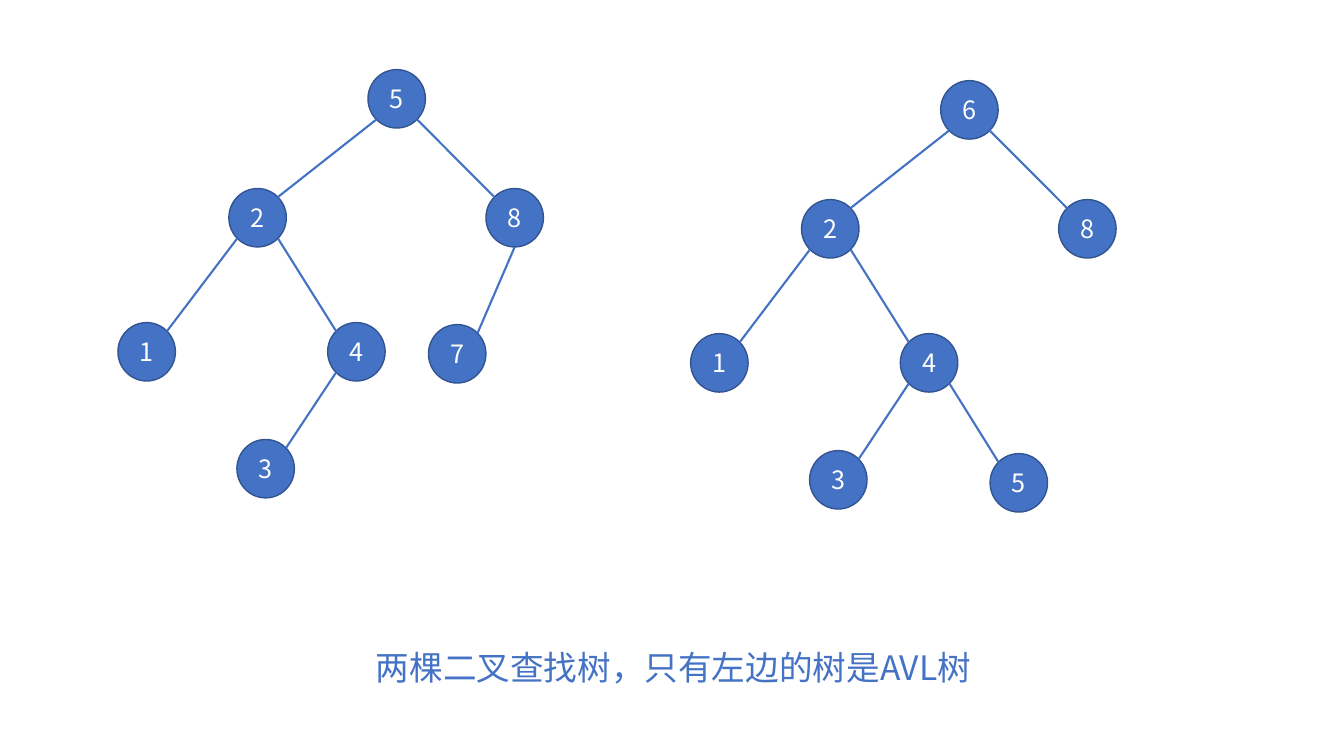
from dataclasses import dataclass
from math import sqrt

from lxml.etree import SubElement
from pptx import Presentation
from pptx.dml.color import RGBColor
from pptx.enum.shapes import MSO_CONNECTOR, MSO_SHAPE
from pptx.enum.text import MSO_ANCHOR, MSO_AUTO_SIZE, PP_ALIGN
from pptx.oxml.ns import qn
from pptx.util import Inches, Pt


@dataclass(frozen=True)
class Theme:
    font: str = "Noto Sans CJK SC"
    blue: RGBColor = RGBColor(0x44, 0x72, 0xC4)
    outline: RGBColor = RGBColor(0x32, 0x54, 0x91)
    white: RGBColor = RGBColor(0xFF, 0xFF, 0xFF)
    key_size: int = 18
    caption_size: int = 24


theme = Theme()
NODE_WIDTH, NODE_HEIGHT = 0.57, 0.58
DIAGONAL = sqrt(0.5)

# Node slots shared by both trees: left and top in inches
SLOTS = {
    "root": (3.65, 0.69),
    "left": (2.27, 1.87),
    "right": (4.82, 1.87),
    "left.left": (1.17, 3.2),
    "left.right": (3.25, 3.2),
    "right.left": (4.25, 3.22),
    "left.right.left": (2.35, 4.36),
    "left.right.right": (4.14, 4.39),
}

# Each tree: horizontal shift, vertical shift, keys by slot
TREES = [
    (0, 0, {"root": "5", "left": "2", "right": "8", "left.left": "1",
            "left.right": "4", "right.left": "7", "left.right.left": "3"}),
    (5.68, 0.11, {"root": "6", "left": "2", "right": "8", "left.left": "1",
                  "left.right": "4", "left.right.left": "3",
                  "left.right.right": "5"}),
]


def write_centred(shape, text, size, color):
    shape.text_frame.text = text
    paragraph = shape.text_frame.paragraphs[0]
    paragraph.alignment = PP_ALIGN.CENTER
    run = paragraph.runs[0]
    run.font.size = Pt(size)
    run.font.color.rgb = color
    run.font.name = theme.font
    SubElement(run.font._element, qn("a:ea"), typeface=theme.font)


def rim_point(node, horizontal, vertical):
    """Point on a node's rim, given as offsets from its centre in radii."""
    return (int(node.left + node.width * (1 + horizontal) / 2),
            int(node.top + node.height * (1 + vertical) / 2))


presentation = Presentation()
presentation.slide_width = Inches(13.33)
presentation.slide_height = Inches(7.5)
slide = presentation.slides.add_slide(presentation.slide_layouts[5])

for shift_x, shift_y, keys in TREES:
    nodes = {}
    for slot, key in keys.items():
        left, top = SLOTS[slot]
        node = slide.shapes.add_shape(
            MSO_SHAPE.OVAL, Inches(left + shift_x), Inches(top + shift_y),
            Inches(NODE_WIDTH), Inches(NODE_HEIGHT))
        node.shadow.inherit = False
        node.fill.solid()
        node.fill.fore_color.rgb = theme.blue
        node.line.color.rgb = theme.outline
        node.line.width = Pt(1)
        node.text_frame.vertical_anchor = MSO_ANCHOR.MIDDLE
        write_centred(node, key, theme.key_size, theme.white)
        nodes[slot] = node

        if slot == "root":
            continue
        parent_slot = slot.rpartition(".")[0] or "root"
        side = -DIAGONAL if slot.endswith("left") else DIAGONAL
        if slot == "right.left":
            start = rim_point(nodes[parent_slot], 0, 1)
        else:
            start = rim_point(nodes[parent_slot], side, DIAGONAL)
        end = rim_point(node, -side, -DIAGONAL)
        edge = slide.shapes.add_connector(MSO_CONNECTOR.STRAIGHT, *start, *end)
        edge.line.color.rgb = theme.blue
        edge.line.width = Pt(1.5)
        SubElement(edge._element.spPr, qn("a:effectLst"))

caption = slide.shapes.title
caption.left, caption.top = Inches(0.38), Inches(6.37)
caption.width, caption.height = Inches(12.6), Inches(0.5)
caption.text_frame.word_wrap = True
caption.text_frame.auto_size = MSO_AUTO_SIZE.SHAPE_TO_FIT_TEXT
caption.text_frame.vertical_anchor = MSO_ANCHOR.TOP
write_centred(caption, "两棵二叉查找树，只有左边的树是AVL树",
              theme.caption_size, theme.blue)

presentation.save("out.pptx")
